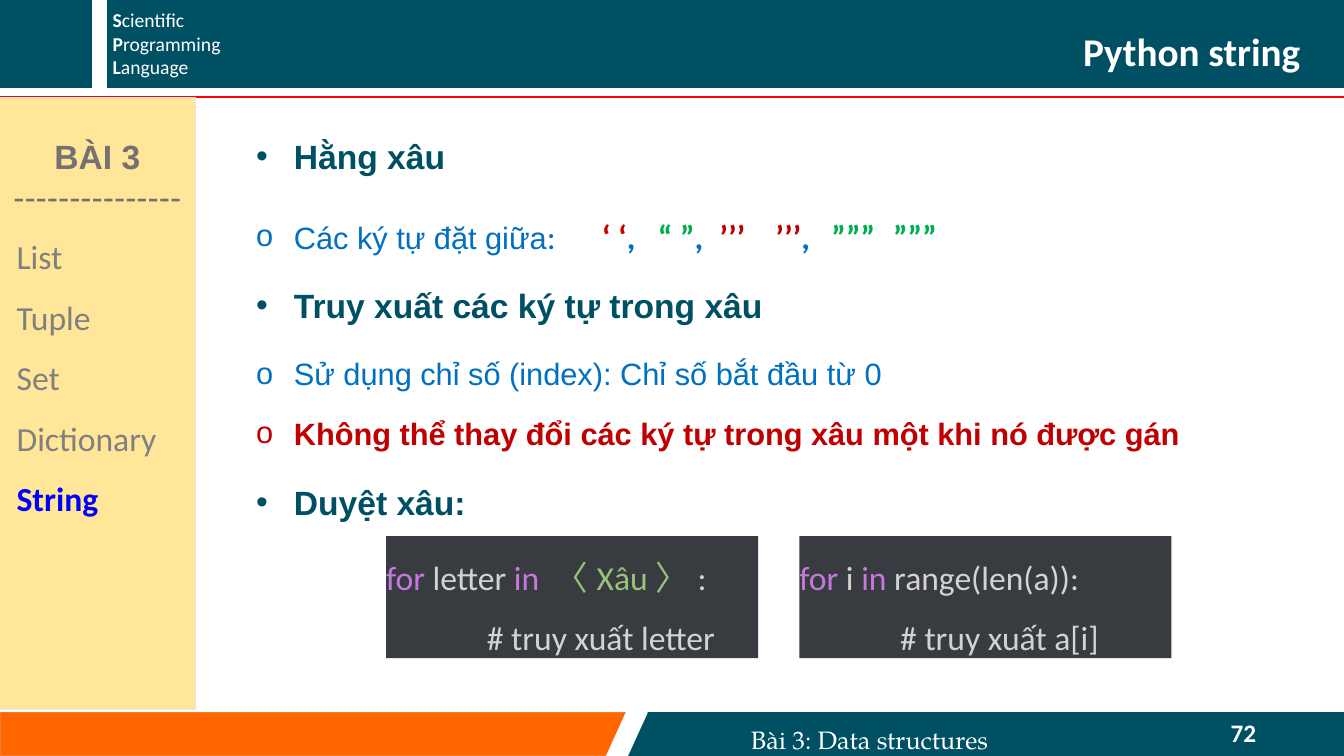
"""Build the Python string lesson slide."""
from dataclasses import dataclass

from lxml import etree
from pptx import Presentation
from pptx.dml.color import RGBColor
from pptx.enum import shapes, text
from pptx.oxml import ns
from pptx.util import Pt


@dataclass(frozen=True)
class Theme:
    """Colours, fonts and type sizes of the slide."""
    teal: str = "005064"
    white: str = "FFFFFF"
    orange: str = "FF6600"
    orange_edge: str = "ED7D31"
    red: str = "FF0000"
    sand: str = "FFE699"
    sand_edge: str = "E7E6E6"
    heading_grey: str = "767171"
    grey: str = "808080"
    active: str = "0000FF"
    blue: str = "0070C0"
    crimson: str = "C00000"
    green: str = "00B050"
    code_back: str = "383B40"
    code_text: str = "D3D3D3"
    keyword: str = "C678DD"
    literal: str = "98C379"
    sans: str = "Arial"
    humanist: str = "Calibri"
    serif: str = "TeX Gyre Pagella"
    title: int = 28
    head: int = 24
    item: int = 22
    footer: int = 18
    label: int = 14


THEME = Theme()


def style(font, name=None, size=None, color=None, bold=None):
    """Apply the given settings to a font."""
    if name:
        font.name = name
    if size:
        font.size = Pt(size)
    if color:
        font.color.rgb = RGBColor.from_string(color)
    if bold is not None:
        font.bold = bold


def place(box, left, top, width, height):
    """Move and size a shape in points."""
    box.left, box.top, box.width, box.height = map(Pt, (left, top, width, height))


def set_frame(frame, anchor=text.MSO_ANCHOR.TOP, inset=None):
    """Prepare a wrapping text frame of fixed size."""
    frame.word_wrap = True
    frame.auto_size = text.MSO_AUTO_SIZE.NONE
    frame.vertical_anchor = anchor
    if inset is not None:
        frame.margin_left = frame.margin_right = Pt(inset)
        frame.margin_top = frame.margin_bottom = Pt(inset)


def add_para(frame, spans, align=text.PP_ALIGN.LEFT, spacing=1.0, before=0,
             indent=0, **font):
    """Write a paragraph of (text, overrides) spans in the frame."""
    first = frame.paragraphs[0]
    para = first if not first.runs else frame.add_paragraph()
    para.alignment, para.line_spacing, para.space_before = align, spacing, Pt(before)
    para._p.get_or_add_pPr().set("marL", str(Pt(indent)))
    style(para.font, **font)
    for words, changes in spans:
        span = para.add_run()
        span.text = words
        style(span.font, **changes)
    return para


def add_block(page, kind, left, top, width, height, fill, edge=None):
    """Add a flat preset shape."""
    box = page.shapes.add_shape(kind, *map(Pt, (left, top, width, height)))
    box.shadow.inherit = False
    box.fill.solid()
    box.fill.fore_color.rgb = RGBColor.from_string(fill)
    if edge:
        box.line.color.rgb = RGBColor.from_string(edge)
        box.line.width = Pt(1)
    else:
        box.line.fill.background()
    return box


def add_label(page, left, top, width, height, lines, **options):
    """Add a text box with one paragraph per line."""
    box = page.shapes.add_textbox(*map(Pt, (left, top, width, height)))
    set_frame(box.text_frame)
    for spans in lines:
        add_para(box.text_frame, spans, **options)


def add_rule(page, top, width):
    """Add the thin red line under the header."""
    rule = page.shapes.add_connector(
        shapes.MSO_CONNECTOR.STRAIGHT, 0, Pt(top), Pt(width), Pt(top))
    rule.line.color.rgb = RGBColor.from_string(THEME.red)
    rule.line.width = Pt(1.5)
    etree.SubElement(rule._element.spPr, ns.qn("a:effectLst"))


def add_bullet(frame, mark, spans, before, tabs=(), **font):
    """Write a hanging list item with its own mark and tab stops."""
    para = add_para(frame, spans, before=before, indent=27, **font)
    props = para._p.get_or_add_pPr()
    props.set("indent", str(-Pt(27)))
    parts = [etree.Element(ns.qn("a:buFont"), typeface=THEME.sans),
             etree.Element(ns.qn("a:buChar"), char=mark)]
    if tabs:
        stops = etree.Element(ns.qn("a:tabLst"))
        for stop in tabs:
            etree.SubElement(stops, ns.qn("a:tab"), pos=str(Pt(stop)), algn="l")
        parts.append(stops)
    defaults = props.find(ns.qn("a:defRPr"))
    for part in parts:
        defaults.addprevious(part)


def add_code(page, left, first, second):
    """Add a dark panel with a loop header and its indented comment."""
    panel = add_block(page, shapes.MSO_SHAPE.RECTANGLE, left, 383, 265.7, 87.2,
                      THEME.code_back)
    set_frame(panel.text_frame, text.MSO_ANCHOR.MIDDLE, 0)
    font = dict(name=THEME.humanist, size=THEME.head)
    spans = [(words, dict(color=color)) for words, color in first]
    add_para(panel.text_frame, spans, spacing=1.5, **font)
    add_para(panel.text_frame, [(second, {})], spacing=1.5, indent=72,
             color=THEME.code_text, **font)


def add_sidebar(page, topics, active):
    """Add the lesson outline with the active topic marked."""
    panel = add_block(page, shapes.MSO_SHAPE.RECTANGLE, -0.7, 69.8, 140.4, 437,
                      THEME.sand, THEME.sand_edge)
    frame = panel.text_frame
    set_frame(frame)
    frame.margin_top = Pt(12.6)
    heading = dict(align=text.PP_ALIGN.CENTER, name=THEME.sans, size=THEME.head,
                   color=THEME.heading_grey)
    add_para(frame, [("BÀI 3", {})], spacing=1.5, bold=True, **heading)
    add_para(frame, [("-" * 15, {})], **heading)
    for topic in topics:
        chosen = topic == active
        add_para(frame, [(topic, {})], spacing=1.5, indent=5.5,
                 name=THEME.humanist, size=THEME.head, bold=chosen,
                 color=THEME.active if chosen else THEME.grey)


def fill_title(page):
    """Fill the title placeholder and bring it in front of the header."""
    title = page.shapes.title
    place(title, 241, 9.4, 695, 44.6)
    set_frame(title.text_frame)
    add_para(title.text_frame, [("Python string", {})], text.PP_ALIGN.RIGHT, 1.2,
             name=THEME.humanist, size=THEME.title, color=THEME.white, bold=True)
    page.shapes._spTree.append(title._element)


def fill_body(page):
    """Fill the body placeholder with the lesson points."""
    body = page.placeholders[1]
    place(body, 175.7, 93.5, 773, 285)
    frame = body.text_frame
    set_frame(frame)
    head = dict(name=THEME.sans, size=THEME.head, color=THEME.teal, bold=True)
    item = dict(name=THEME.sans, size=THEME.item, color=THEME.blue)
    quote = dict(name=THEME.humanist, size=THEME.head, bold=True)
    marks = [(":\t", dict(quote, bold=False))]
    for words, color in (("‘ ‘", THEME.crimson), (",\t", THEME.blue),
                         ("“ ”", THEME.green), (",\t", THEME.blue),
                         ("’’’\t’’’", THEME.crimson), (",\t", THEME.blue),
                         ("”””\t”””", THEME.green)):
        marks.append((words, dict(quote, color=color)))
    add_bullet(frame, "•", [("Hằng xâu", {})], 0, **head)
    add_bullet(frame, "o", [("Các ký tự đặt giữa", {})] + marks, 28,
               tabs=(247, 287, 331, 371, 411, 455), **item)
    add_bullet(frame, "•", [("Truy xuất các ký tự trong xâu", {})], 21, **head)
    add_bullet(frame, "o", [("Sử dụng chỉ số (index): Chỉ số bắt đầu từ 0", {})],
               21, **item)
    add_bullet(frame, "o",
               [("Không thể thay đổi các ký tự trong xâu một khi nó được gán", {})],
               16, **dict(item, color=THEME.crimson, bold=True))
    add_bullet(frame, "•", [("Duyệt xâu:", {})], 22, **head)


def main():
    """Assemble the slide and save the deck."""
    deck = Presentation()
    deck.slide_width, deck.slide_height = Pt(960), Pt(540)
    page = deck.slides.add_slide(deck.slide_layouts[1])
    box = shapes.MSO_SHAPE.RECTANGLE
    add_block(page, box, 0, 0, 960, 62.6, THEME.teal, THEME.teal)
    add_block(page, box, 66.2, 0, 10, 62.6, THEME.white, THEME.white)
    add_label(page, 73.4, 2.2, 150, 58.3,
              [[(word[0], dict(bold=True)), (word[1:], {})]
               for word in ("Scientific", "Programming", "Language")],
              name=THEME.humanist, size=THEME.label, color=THEME.white)
    add_block(page, box, 0, 509, 448, 31, THEME.orange, THEME.orange_edge)
    add_block(page, box, 448, 509, 512, 31, THEME.teal, THEME.teal)
    add_rule(page, 69.1, 960)
    slash = add_block(page, shapes.MSO_SHAPE.PARALLELOGRAM, 433.4, 509, 28.8, 31,
                      THEME.white, THEME.white)
    slash.adjustments[0] = 0.49
    add_label(page, 872, 509, 77, 28.8, [[("72", {})]], name=THEME.humanist,
              size=THEME.footer, color=THEME.white, bold=True)
    add_label(page, 448, 509.8, 346.3, 33, [[("Bài 3: Data structures", {})]],
              align=text.PP_ALIGN.CENTER, spacing=1.2, before=4,
              name=THEME.serif, size=THEME.footer, color=THEME.white)
    fill_title(page)
    add_sidebar(page, ("List", "Tuple", "Set", "Dictionary", "String"), "String")
    fill_body(page)
    add_code(page, 275.8, [("for", THEME.keyword), (" letter ", THEME.code_text),
                           ("in ", THEME.keyword), ("〈Xâu〉", THEME.literal),
                           (":", THEME.code_text)], "# truy xuất letter")
    add_code(page, 571, [("for", THEME.keyword), (" i ", THEME.code_text),
                         ("in", THEME.keyword),
                         (" range(len(a)):", THEME.code_text)], "# truy xuất a[i]")
    deck.save("out.pptx")


if __name__ == "__main__":
    main()
